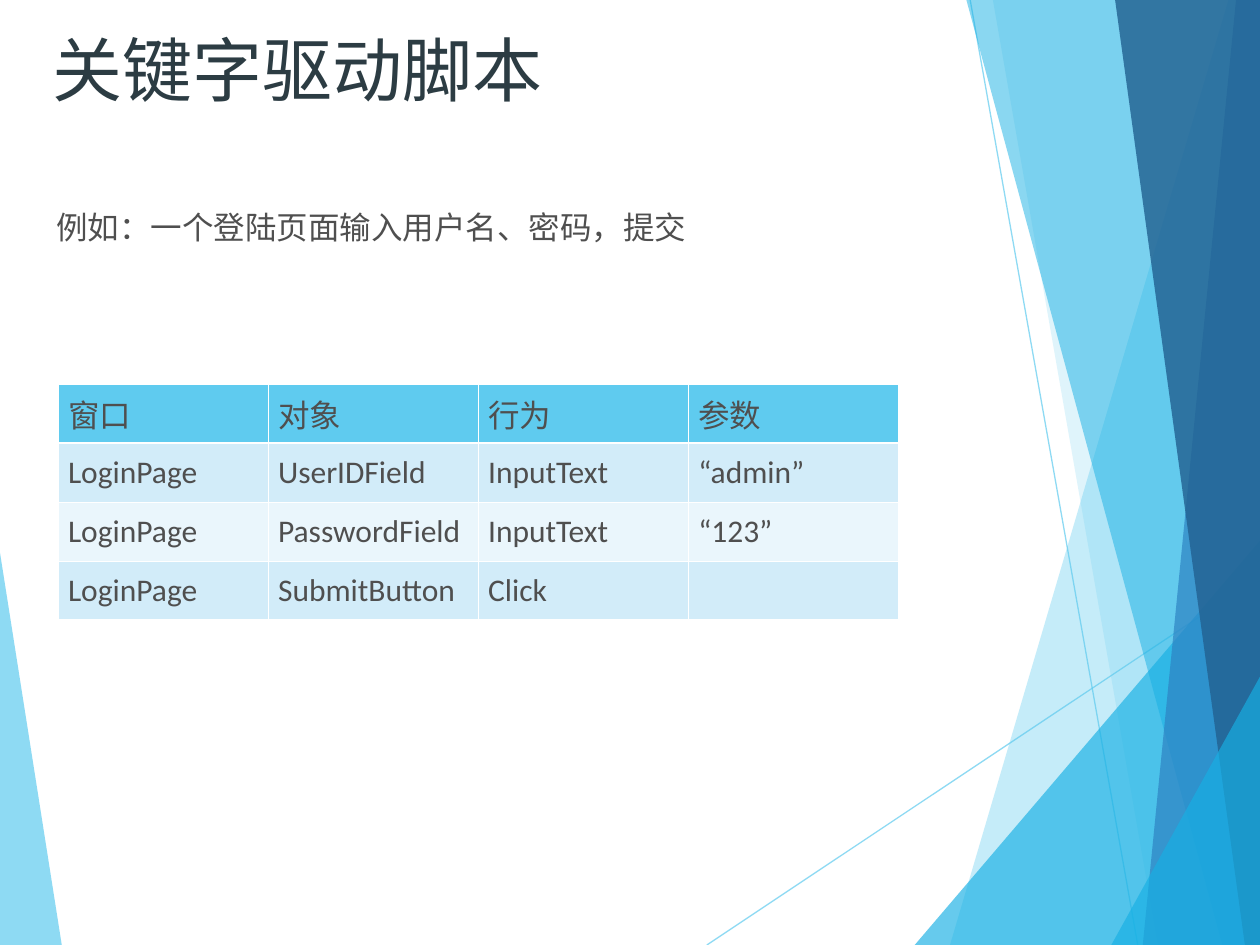
from lxml import etree
from pptx import Presentation
from pptx.dml.color import RGBColor
from pptx.enum.shapes import MSO_CONNECTOR
from pptx.enum.text import MSO_ANCHOR
from pptx.oxml.ns import qn
from pptx.util import Inches, Pt

MIDDLE = MSO_ANCHOR.MIDDLE
STRAIGHT = MSO_CONNECTOR.STRAIGHT
SLIDE_W, SLIDE_H = 10, 7.5
SKY, CYAN, BLUE, NAVY = "5FCBEF", "17B0E4", "2E83C3", "236292"
WHITE, INK, TEXT = "FFFFFF", "2C3C43", "4F4F4F"
HEADER_FILL, BAND_FILLS = SKY, ("D2ECF9", "EAF6FC")
THIN, THICK = 0.45, 1.47

FACET_LINES = [((56.1, 100), (100, 61)), ((77, 0), (90.3, 100))]
LEFT_FACETS = [(SKY, 70, [(0, 58.5), (4.9, 100), (0, 100)])]
RIGHT_FACETS = [
    (SKY, 36, [(97.5, 0), (75.4, 100), (100, 100), (100, 0)]),
    (SKY, 20, [(78.8, 0), (91.9, 100), (100, 100), (100, 0)]),
    (CYAN, 66, [(72.6, 100), (100, 57.2), (100, 100)]),
    (CYAN, 50, [(76.7, 0), (97, 100), (100, 100), (100, 0)]),
    (BLUE, 70, [(98.1, 0), (90.7, 100), (100, 100), (100, 0)]),
    (NAVY, 82, [(88.5, 0), (98.8, 100), (100, 100), (100, 0)]),
    (CYAN, 66, [(88.2, 100), (100, 71.6), (100, 100)]),
]
ROWS = [
    ["窗口", "对象", "行为", "参数"],
    ["LoginPage", "UserIDField", "InputText", "“admin”"],
    ["LoginPage", "PasswordField", "InputText", "“123”"],
    ["LoginPage", "SubmitButton", "Click", ""],
]


def paint(fill, color, alpha=100):
    """Make a fill solid, with opacity in percent."""
    fill.solid()
    fill.fore_color.rgb = RGBColor.from_string(color)
    if alpha < 100:
        clr = fill._xPr.find(".//" + qn("a:srgbClr"))
        etree.SubElement(clr, qn("a:alpha")).set("val", str(alpha * 1000))


def write(tf, text, size, font, color):
    """Write one formatted paragraph into a text frame."""
    p = tf.paragraphs[0]
    p.text = text
    for r in p.runs:
        r.font.size, r.font.name = Pt(size), font
        r.font.bold = False
        r.font.color.rgb = RGBColor.from_string(color)


def add_text(s, box, text, size, font, color, wrap):
    """Add a text box holding one line."""
    tf = s.shapes.add_textbox(*map(Inches, box)).text_frame
    tf.word_wrap = wrap
    write(tf, text, size, font, color)


def locate(box, point):
    """Turn a point in percent of a box into slide lengths."""
    x, y, w, h = box
    return Inches(x + w * point[0] / 100), Inches(y + h * point[1] / 100)


def add_facets(s, box, facets):
    """Draw translucent polygons inside a box."""
    for color, alpha, points in facets:
        start, *rest = [locate(box, pt) for pt in points]
        builder = s.shapes.build_freeform(*start, scale=1.0)
        builder.add_line_segments(rest, close=True)
        sp = builder.convert_to_shape()
        sp.shadow.inherit = False
        sp.line.fill.background()
        paint(sp.fill, color, alpha)


def add_facet_lines(s, box, lines):
    """Draw the thin translucent lines inside a box."""
    for start, end in lines:
        line = s.shapes.add_connector(STRAIGHT, *locate(box, start), *locate(box, end))
        line.line.width = Pt(0.75)
        paint(line.line.fill, SKY, 70)
        etree.SubElement(line._element.spPr, qn("a:effectLst"))


def set_borders(cell, **widths):
    """Give a cell white borders of the given widths in points."""
    tcPr = cell._tc.get_or_add_tcPr()
    for side in "LRTB":
        ln = etree.SubElement(tcPr, qn("a:ln" + side), w=str(Pt(widths.get(side, THIN))))
        fill = etree.SubElement(ln, qn("a:solidFill"))
        etree.SubElement(fill, qn("a:srgbClr"), val=WHITE)


def add_keyword_table(s, box, rows):
    """Add the banded table of keyword steps."""
    table = s.shapes.add_table(len(rows), len(rows[0]), *map(Inches, box)).table
    table.first_row = table.horz_banding = False
    for i, row in enumerate(rows):
        for j, text in enumerate(row):
            cell = table.cell(i, j)
            cell.vertical_anchor = MIDDLE
            cell.margin_left = cell.margin_right = Inches(0.08)
            cell.margin_top = cell.margin_bottom = Inches(0.05)
            set_borders(cell, T=THICK if i == 1 else THIN, B=THICK if i == 0 else THIN)
            paint(cell.fill, BAND_FILLS[(i - 1) % 2] if i else HEADER_FILL)
            write(cell.text_frame, text, 18, "Calibri", TEXT)


def main():
    """Build the slide and save it."""
    prs = Presentation()
    prs.slide_width, prs.slide_height = Inches(SLIDE_W), Inches(SLIDE_H)
    s = prs.slides.add_slide(prs.slide_layouts[6])
    page = (0, 0, SLIDE_W, SLIDE_H)
    add_facets(s, page, LEFT_FACETS)
    add_facet_lines(s, page, FACET_LINES)
    add_facets(s, page, RIGHT_FACETS)
    add_text(s, (0.32, 0.16, 6.94, 1.44), "关键字驱动脚本", 40, "Cambria", INK, True)
    add_keyword_table(s, (0.46, 3.05, 6.67, 1.87), ROWS)
    add_text(s, (0.35, 1.6, 5.2, 0.4), "例如：一个登陆页面输入用户名、密码，提交",
             18, "Lato", TEXT, False)
    prs.save("out.pptx")


if __name__ == "__main__":
    main()
